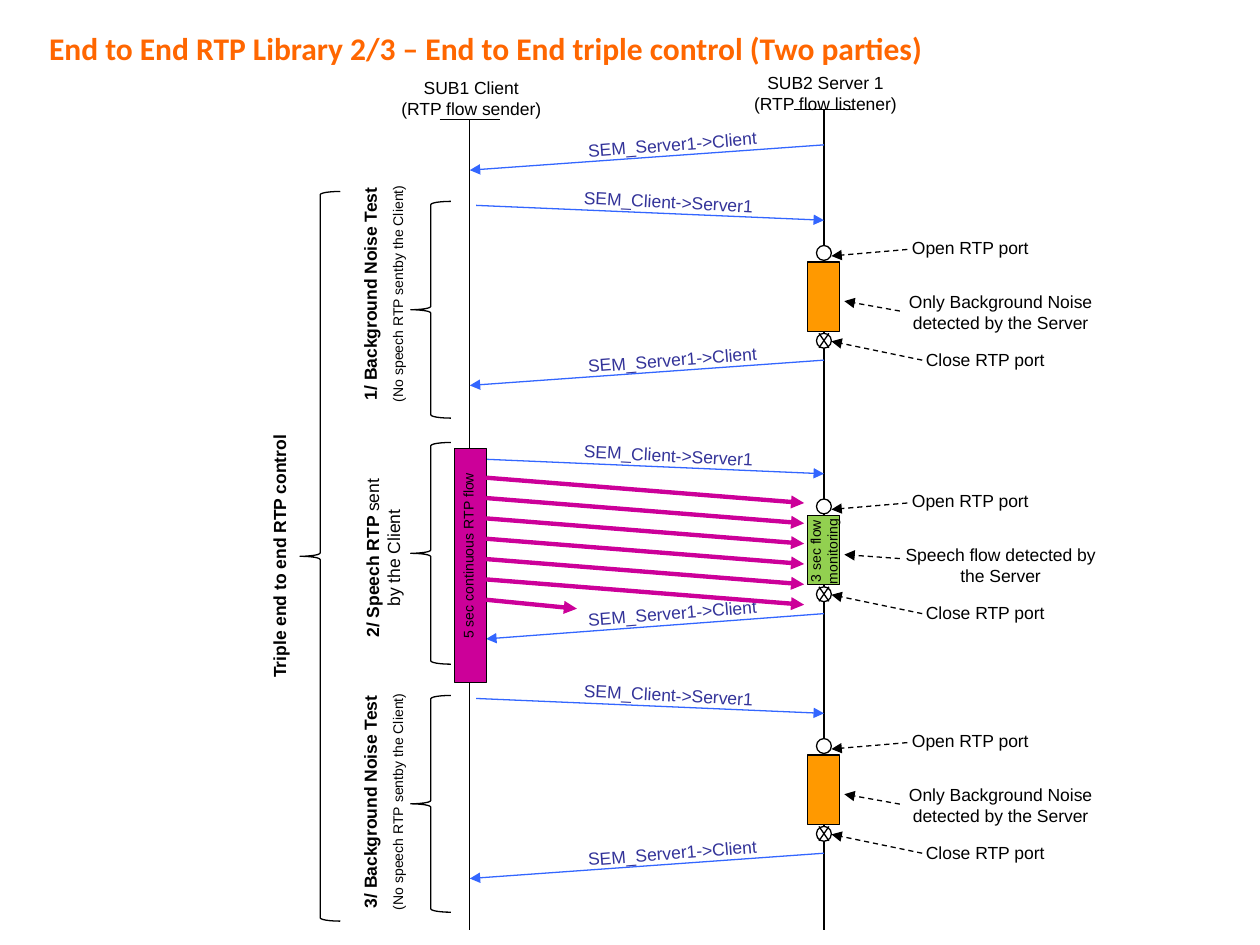
import pptx
import pptx.dml.color
import pptx.enum.dml
import pptx.enum.shapes
import pptx.enum.text
import pptx.oxml.ns
import pptx.util
from lxml import etree
from pptx.util import Cm, Pt

COLORS = {
    "title": "FF6600",
    "ink": "000000",
    "white": "FFFFFF",
    "message": "3366FF",
    "message_text": "333399",
    "noise": "FF9900",
    "speech": "92D050",
    "rtp": "CC0099",
}
SHAPE = pptx.enum.shapes.MSO_SHAPE
ALIGN = pptx.enum.text.PP_ALIGN
ANCHOR = pptx.enum.text.MSO_ANCHOR
qn = pptx.oxml.ns.qn

CLIENT_X, SERVER_X = 9.47, 16.61
BAR_RIGHT = 9.8
NOISE_NOTE = "Only Background Noise detected by the Server"
SPEECH_NOTE = "Speech flow detected by the Server"


def rgb(name):
    return pptx.dml.color.RGBColor.from_string(COLORS[name])


def add_text(s, box, *paragraphs, color="ink", rotation=0, font="Arial",
             align=ALIGN.CENTER, anchor=ANCHOR.TOP, spacing=0.625):
    """Add a text box; each paragraph is (text, size, bold), spacing is per point of size."""
    sp = s.shapes.add_textbox(*map(Cm, box))
    sp.rotation = rotation
    tf = sp.text_frame
    tf.word_wrap = True
    tf.vertical_anchor = anchor
    for i, (text, size, bold) in enumerate(paragraphs):
        p = tf.add_paragraph() if i else tf.paragraphs[0]
        p.text = text
        p.alignment = align
        p.space_before = Pt(size * spacing)
        p.font.name = font
        p.font.size = Pt(size)
        p.font.bold = bold
        p.font.color.rgb = rgb(color)
    return tf


def add_shape(s, kind, box, fill=None):
    sp = s.shapes.add_shape(kind, *map(Cm, box))
    sp.shadow.inherit = False
    if fill:
        sp.fill.solid()
        sp.fill.fore_color.rgb = rgb(fill)
    else:
        sp.fill.background()
    sp.line.color.rgb = rgb("ink")
    sp.line.width = Pt(0.75)


def add_line(s, x1, y1, x2, y2, color="ink", width=0.75, arrow=False, dashed=False):
    c = s.shapes.add_connector(pptx.enum.shapes.MSO_CONNECTOR.STRAIGHT,
                               Cm(x1), Cm(y1), Cm(x2), Cm(y2))
    c.line.color.rgb = rgb(color)
    c.line.width = Pt(width)
    if dashed:
        c.line.dash_style = pptx.enum.dml.MSO_LINE.DASH
    spPr = c._element.spPr
    if arrow:
        etree.SubElement(spPr.find(qn("a:ln")), qn("a:tailEnd"), type="triangle")
    etree.SubElement(spPr, qn("a:effectLst"))


def add_lifeline(s, x, y, label, label_box):
    add_line(s, x - 0.61, y, x + 0.6, y)
    add_line(s, x, y, x, 18.75)
    add_text(s, label_box, (label, 10, False))


def add_message_to_server(s, y):
    add_line(s, 9.6, y, SERVER_X, y + 0.3, "message", arrow=True)
    add_text(s, (11.05, y - 0.41, 4.85, 0.69), ("SEM_Client->Server1", 10, False),
             color="message_text", rotation=3.1)


def add_message_to_client(s, y, end_x=CLIENT_X):
    add_line(s, SERVER_X, y, end_x, y + 0.51, "message", arrow=True)
    add_text(s, (11.13, y - 0.35, 4.85, 0.69), ("SEM_Server1->Client", 10, False),
             color="message_text", rotation=-4.4)


def add_pointer(s, x1, y1, x2, y2):
    add_line(s, x1, y1, x2, y2, arrow=True, dashed=True)


def add_phase(s, y, fill, note, note_rise=0.2, end_x=CLIENT_X):
    """Draw one test phase, from the message to the server at y to the answer."""
    add_message_to_server(s, y)
    add_message_to_client(s, y + 3.12, end_x)

    add_shape(s, SHAPE.RECTANGLE, (16.28, y + 1.14, 0.64, 1.4), fill)
    left, right, top, bottom = 16.51, 16.71, y + 2.58, y + 2.87
    for port_y in (y + 0.81, top):
        add_shape(s, SHAPE.OVAL, (16.46, port_y, 0.3, 0.3), "white")
    add_line(s, left, top, right, bottom)
    add_line(s, right, top, left, bottom)

    add_text(s, (17.68, y + 0.51, 3.76, 0.69), ("Open RTP port", 10, False))
    add_pointer(s, 18.29, y + 0.89, 16.76, y + 1.02)
    add_text(s, (17.73, y + 1.6, 4.88, 1.12), (note, 10, False))
    add_pointer(s, 18.14, y + 1.93 + note_rise, 17.02, y + 1.93)
    add_text(s, (17.98, y + 2.77, 3.76, 0.69), ("Close RTP port", 10, False))
    add_pointer(s, 18.59, y + 3.12, 16.76, y + 2.74)


def add_brace(s, x, y, height):
    add_shape(s, SHAPE.LEFT_BRACE, (x, y, 0.81, height))


def add_phase_labels(s):
    for y, height in ((4.06, 4.37), (8.92, 4.47), (14.02, 4.37)):
        add_brace(s, 8.28, y, height)
    for number, y in ((1, 5.33), (3, 15.57)):
        add_text(s, (4.72, y, 5.99, 1.19),
                 (f"{number}/ Background Noise Test", 10, True),
                 ("(No speech RTP sentby the Client)", 8, False), rotation=270)
    tf = add_text(s, (5.49, 10.69, 4.47, 1.12), ("2/ Speech RTP ", 10, True), rotation=270)
    p = tf.paragraphs[0]
    for i, text in enumerate(("sent", "by the Client")):
        if i:
            p.add_line_break()
        r = p.add_run()
        r.text = text
        r.font.bold = False

    add_brace(s, 6.05, 3.86, 14.71)
    add_text(s, (2.64, 10.87, 5.99, 0.69), ("Triple end to end RTP control", 10, True),
             rotation=270)


def add_rtp_flow(s):
    add_shape(s, SHAPE.RECTANGLE, (9.17, 9.04, 0.64, 4.72), "rtp")
    first_y, step, full_arrows = 9.63, 0.41, 6
    for i in range(full_arrows):
        y = first_y + i * step
        add_line(s, BAR_RIGHT, y, 16.21, y + 0.51, "rtp", 2.5, arrow=True)
    y = first_y + full_arrows * step
    add_line(s, BAR_RIGHT, y, 11.63, y + 0.18, "rtp", 2.5, arrow=True)
    add_text(s, (6.65, 10.9, 5.59, 0.61), ("5 sec continuous RTP flow", 8, False), rotation=270)
    add_text(s, (15.49, 10.64, 2.24, 0.94), ("3 sec flow\vmonitoring", 8, False), rotation=270)


def main():
    prs = pptx.Presentation()
    prs.slide_width, prs.slide_height = Cm(25.4), Cm(19.05)
    s = prs.slides.add_slide(prs.slide_layouts[6])

    add_text(s, (0.74, -0.1, 22.81, 2.13),
             ("End to End RTP Library 2/3 – End to End triple control (Two parties)", 18, True),
             color="title", font="Calibri", align=ALIGN.LEFT, anchor=ANCHOR.MIDDLE, spacing=0)
    add_lifeline(s, CLIENT_X, 2.41, "SUB1 Client\v(RTP flow sender)", (7.06, 1.42, 4.88, 1.12))
    add_lifeline(s, SERVER_X, 2.21, "SUB2 Server 1\v(RTP flow listener)",
                 (14.38, 1.32, 4.52, 1.12))

    add_message_to_client(s, 2.92)
    add_phase(s, 4.14, "noise", NOISE_NOTE)
    add_phase(s, 9.25, "speech", SPEECH_NOTE, note_rise=0.08, end_x=BAR_RIGHT)
    add_phase(s, 14.08, "noise", NOISE_NOTE)
    add_rtp_flow(s)
    add_phase_labels(s)
    prs.save("out.pptx")


if __name__ == "__main__":
    main()
